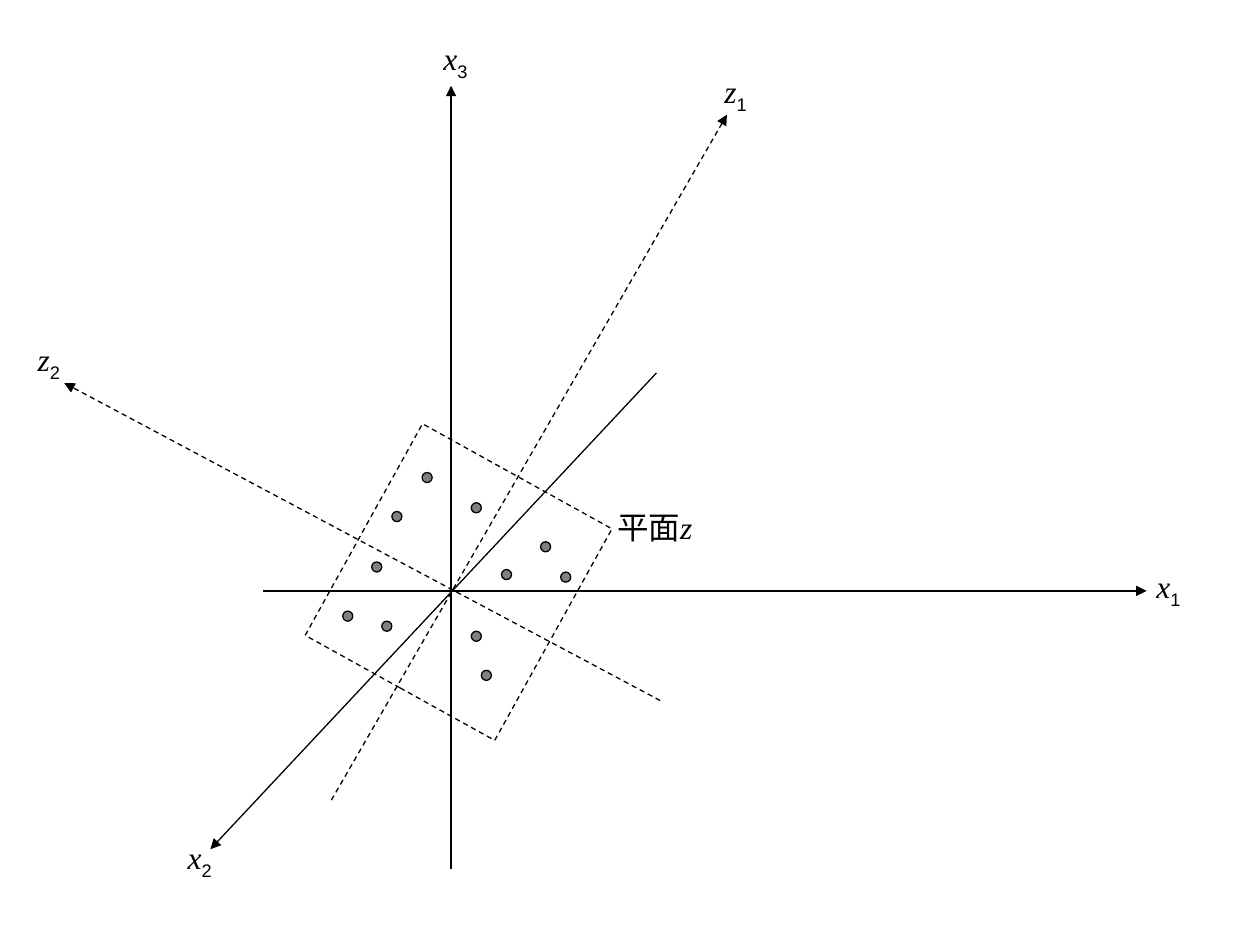
from lxml.etree import SubElement
from pptx import Presentation
from pptx.dml.color import RGBColor
from pptx.enum.dml import MSO_LINE
from pptx.enum.shapes import MSO_CONNECTOR, MSO_SHAPE
from pptx.enum.text import MSO_AUTO_SIZE
from pptx.oxml.ns import qn
from pptx.util import Emu, Pt

PX = 9144  # 100 px to the inch
BLACK, GREY = "000000", "808080"
SERIF, SANS = "Times New Roman", "Arial"
ORIGIN = (358, 469)  # where the axes cross; all positions below are offsets from it

# letter, subscript, start, tip, label corner, dashed
X_AXES = [
    ("x", "3", (0, 221), (0, -401), (-16, -443), False),
    ("x", "1", (-149, 0), (552, 0), (550, -24), False),
    ("x", "2", (163, -173), (-191, 205), (-219, 191), False),
]
Z_AXES = [
    ("z", "1", (-95, 166), (219, -378), (207, -417), True),
    ("z", "2", (166, 87), (-307, -165), (-338, -204), True),
]
POINTS = [
    (-47, -63), (-63, -23), (16, 32), (24, 63), (-55, 24), (-23, -94),
    (16, -70), (71, -39), (40, -17), (87, -15), (-86, 16),
]
POINT_SIZE = 8


def px(n):
    return Emu(n * PX)


def rgb(color):
    return RGBColor.from_string(color)


def place(origin, offset):
    return [px(o + d) for o, d in zip(origin, offset)]


def format_line(line, dashed=False):
    line.color.rgb = rgb(BLACK)
    line.width = Pt(0.75)
    if dashed:
        line.dash_style = MSO_LINE.DASH


def add_shape(slide, kind, origin, offset, w, h, fill=None, dashed=False):
    s = slide.shapes.add_shape(kind, *place(origin, offset), px(w), px(h))
    s.shadow.inherit = False
    if fill:
        s.fill.solid()
        s.fill.fore_color.rgb = rgb(fill)
    else:
        s.fill.background()
    format_line(s.line, dashed)
    return s


def add_arrow(slide, origin, start, tip, dashed):
    c = slide.shapes.add_connector(
        MSO_CONNECTOR.STRAIGHT, *place(origin, start), *place(origin, tip))
    format_line(c.line, dashed)
    SubElement(c.line._get_or_add_ln(), qn("a:tailEnd"), type="triangle")
    SubElement(c._element.spPr, qn("a:effectLst"))


def add_label(slide, origin, offset, w, h, runs):
    """Add a label from runs of (text, font, italic, subscript)."""
    tf = slide.shapes.add_textbox(*place(origin, offset), px(w), px(h)).text_frame
    tf.word_wrap = False
    tf.auto_size = MSO_AUTO_SIZE.SHAPE_TO_FIT_TEXT
    p = tf.paragraphs[0]
    p.font.size = Pt(18)
    p.font.color.rgb = rgb(BLACK)
    for text, font, italic, subscript in runs:
        r = p.add_run()
        r.text = text
        r.font.name = font
        r.font.italic = italic
        if subscript:
            r.font._element.set("baseline", "-25000")


def draw_axes(slide, origin, axes):
    for letter, index, start, tip, corner, dashed in axes:
        add_arrow(slide, origin, start, tip, dashed)
        add_label(slide, origin, corner, 39, 44,
                  [(letter, SERIF, True, False), (index, SANS, False, True)])


def draw_plane(slide, origin):
    plane = add_shape(slide, MSO_SHAPE.RECTANGLE, origin, (-80, -103), 172, 192,
                      dashed=True)
    plane.rotation = 29
    add_label(slide, origin, (122, -71), 85, 40,
              [("平面", SANS, False, False), ("z", SERIF, True, False)])


def draw_points(slide, origin):
    for offset in POINTS:
        add_shape(slide, MSO_SHAPE.OVAL, origin, offset, POINT_SIZE, POINT_SIZE, GREY)


def main():
    prs = Presentation()
    prs.slide_width, prs.slide_height = px(1000), px(750)
    slide = prs.slides.add_slide(prs.slide_layouts[6])
    draw_axes(slide, ORIGIN, X_AXES)
    draw_plane(slide, ORIGIN)
    draw_axes(slide, ORIGIN, Z_AXES)
    draw_points(slide, ORIGIN)
    prs.save("out.pptx")


if __name__ == "__main__":
    main()
